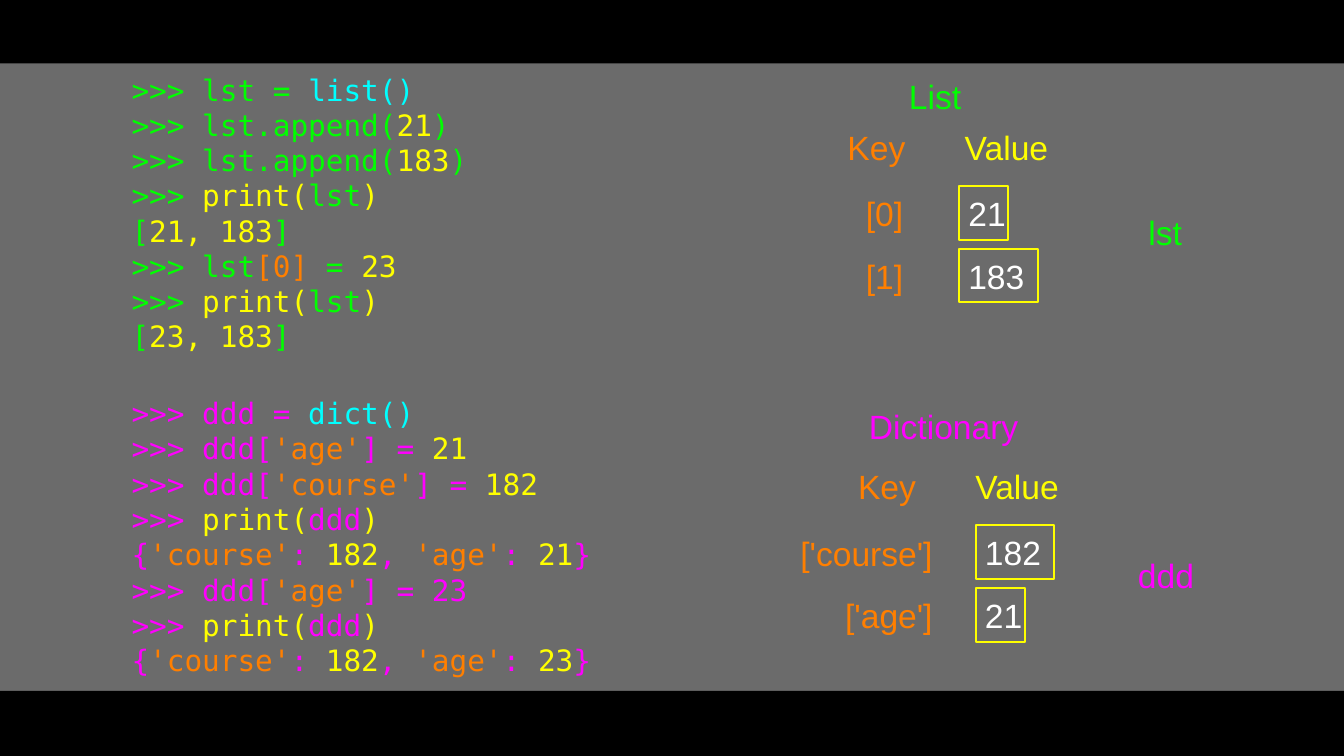
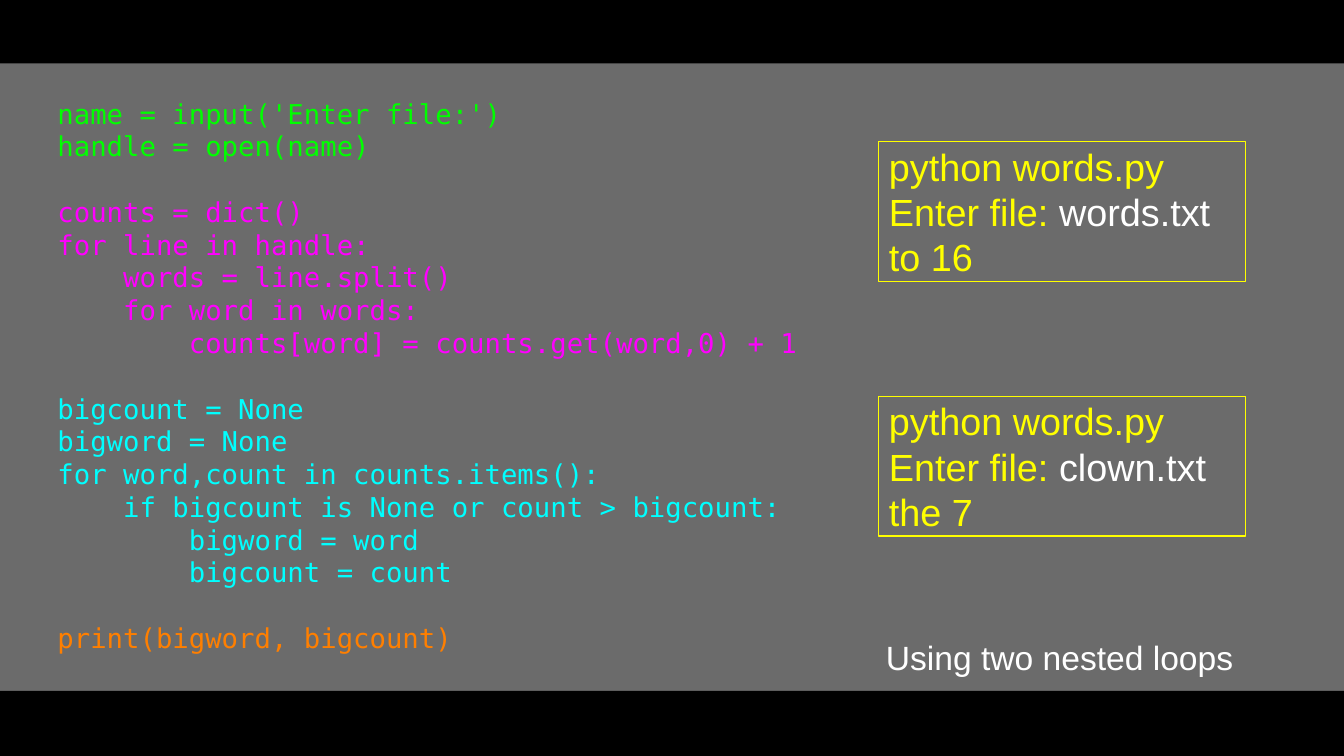
import pptx
import pptx.dml.color
import pptx.enum.shapes
import pptx.enum.text
import pptx.util

Inches = pptx.util.Inches
ALIGN = pptx.enum.text.PP_ALIGN

COLORS = {
    "band": "000000",
    "background": "6B6B6B",
    "green": "00FF00",
    "cyan": "00FFFF",
    "yellow": "FFFF00",
    "orange": "FF7F00",
    "magenta": "FF00FF",
    "white": "FFFFFF",
}
SANS = "Arial"
MONO = "DejaVu Sans Mono"
SLIDE_WIDTH, SLIDE_HEIGHT = 17.78, 10
BANDS = {20: (0, 0.84), 21: (9.14, 0.86)}
LINE_PITCH = 1.2
LABEL_SIZE = 32


def color(name):
    return pptx.dml.color.RGBColor.from_string(COLORS[name])


def fill_solid(fill, name):
    fill.solid()
    fill.fore_color.rgb = color(name)


def add_rectangle(slide, box):
    rectangle = pptx.enum.shapes.MSO_SHAPE.RECTANGLE
    shape = slide.shapes.add_shape(rectangle, *map(Inches, box))
    shape.shadow.inherit = False
    return shape


def add_outline(slide, box, width):
    shape = add_rectangle(slide, box)
    shape.fill.background()
    shape.line.color.rgb = color("yellow")
    shape.line.width = pptx.util.Pt(width)
    return shape


def add_text_box(slide, box):
    return slide.shapes.add_textbox(*map(Inches, box))


def write_lines(shape, lines, size, font, align=ALIGN.LEFT, inset=0, pitch=None):
    frame = shape.text_frame
    frame.word_wrap = True
    frame.vertical_anchor = pptx.enum.text.MSO_ANCHOR.MIDDLE
    frame.margin_left = Inches(inset)
    frame.margin_right = frame.margin_top = frame.margin_bottom = 0
    for index, pieces in enumerate(lines):
        paragraph = frame.add_paragraph() if index else frame.paragraphs[0]
        paragraph.alignment = align
        if pitch:
            paragraph.line_spacing = pptx.util.Pt(size * pitch)
        for text, color_name in pieces:
            run = paragraph.add_run()
            run.text = text
            run.font.size = pptx.util.Pt(size)
            run.font.name = font
            run.font.color.rgb = color(color_name)


def add_label(slide, box, text, color_name, align=ALIGN.CENTER):
    write_lines(add_text_box(slide, box), [[(text, color_name)]], LABEL_SIZE, SANS, align)


def add_code(slide, box, lines, size):
    shape = add_text_box(slide, box)
    write_lines(shape, lines, size, MONO, pitch=LINE_PITCH)
    return shape


def style_master(presentation, slide):
    master = presentation.slide_master
    fill_solid(master.background.fill, "background")
    for shape_id, (top, height) in BANDS.items():
        band = add_rectangle(slide, (0, top, SLIDE_WIDTH, height))
        fill_solid(band.fill, "band")
        band.line.fill.background()
        band.element.nvSpPr.cNvPr.set("id", str(shape_id))
        master.shapes.element.append(band.element)


def print_call(name, base):
    return [(">>> ", base), ("print(", "yellow"), (name, base), (")", "yellow")]


def append_call(value):
    return [(">>> lst.append(", "green"), (value, "yellow"), (")", "green")]


def list_output(values):
    return [("[", "green"), (values, "yellow"), ("]", "green")]


def key_assignment(key, value, value_color="yellow"):
    return [(">>> ddd[", "magenta"), (key, "orange"), ("] = ", "magenta"), (value, value_color)]


def dictionary_output(age):
    return [
        ("{", "magenta"), ("'course'", "orange"), (": ", "magenta"), ("182", "yellow"),
        (", ", "magenta"), ("'age'", "orange"), (": ", "magenta"), (age, "yellow"),
        ("}", "magenta"),
    ]


def draw_collection(slide, left, top, title, title_box, name, name_box,
                    title_color, key_right, value_left, rows):
    def place(box):
        return (left + box[0], top + box[1], box[2], box[3])

    add_label(slide, place(title_box), title, title_color)
    add_label(slide, place((0, 0, 0.87, 0.68)), "Key", "orange")
    add_label(slide, place((1.55, 0, 1.21, 0.68)), "Value", "yellow")
    for index, (key, key_width, value) in enumerate(rows):
        row_top = 0.86 + index * 0.83
        key_box = place((key_right - key_width, row_top + 0.02, key_width, 0.68))
        add_label(slide, key_box, key, "orange", ALIGN.RIGHT)
        value_width = 0.65 if len(value) == 2 else 1.04
        cell = add_outline(slide, place((value_left, row_top, value_width, 0.71)), 2)
        write_lines(cell, [[(value, "white")]], LABEL_SIZE, SANS, inset=0.12)
    add_label(slide, place(name_box), name, title_color)


def build_comparison(slide):
    list_code = [
        [(">>> lst = ", "green"), ("list()", "cyan")],
        append_call("21"),
        append_call("183"),
        print_call("lst", "green"),
        list_output("21, 183"),
        [(">>> lst", "green"), ("[0]", "orange"), (" = ", "green"), ("23", "yellow")],
        print_call("lst", "green"),
        list_output("23, 183"),
    ]
    dictionary_code = [
        [(">>> ddd = ", "magenta"), ("dict()", "cyan")],
        key_assignment("'age'", "21"),
        key_assignment("'course'", "182"),
        print_call("ddd", "magenta"),
        dictionary_output("21"),
        key_assignment("'age'", "23", "magenta"),
        print_call("ddd", "magenta"),
        dictionary_output("23"),
    ]
    add_code(slide, (1.74, 0.85, 6.22, 3.93), list_code, 28)
    add_code(slide, (1.74, 4.94, 6.8, 4.31), dictionary_code, 28)
    draw_collection(
        slide, 11.16, 1.6, "List", (0.69, -0.75, 1.04, 0.85),
        "lst", (3.9, 1.04, 0.71, 0.85), "green", 0.79, 1.53,
        [("[0]", 0.71, "21"), ("[1]", 0.71, "183")],
    )
    draw_collection(
        slide, 11.3, 6.09, "Dictionary", (-0.25, -0.88, 2.87, 0.85),
        "ddd", (3.58, 1.09, 1.09, 0.85), "magenta", 1.04, 1.61,
        [("['course']", 2.02, "182"), ("['age']", 1.31, "21")],
    )


def draw_console(slide, left, top, file_name, result):
    console = add_outline(slide, (left, top, 4.86, 1.85), 1)
    lines = [
        [("python words.py", "yellow")],
        [("Enter file: ", "yellow"), (file_name, "white")],
        [(result, "yellow")],
    ]
    write_lines(console, lines, 36, SANS, inset=0.14, pitch=LINE_PITCH)


def build_program(slide):
    size = 26
    blocks = [
        ("green", ["name = input('Enter file:')", "handle = open(name)"]),
        ("magenta", [
            "counts = dict()",
            "for line in handle:",
            "    words = line.split()",
            "    for word in words:",
            "        counts[word] = counts.get(word,0) + 1",
        ]),
        ("cyan", [
            "bigcount = None",
            "bigword = None",
            "for word,count in counts.items():",
            "    if bigcount is None or count > bigcount:",
            "        bigword = word",
            "        bigcount = count",
        ]),
        ("orange", ["print(bigword, bigcount)"]),
    ]
    lines = [[(text, name)] for name, texts in blocks for text in texts]
    program = add_code(slide, (0.76, 0.94, 10.09, 8.05), lines, size)
    block_start = 0
    for _, texts in blocks[:-1]:
        block_start += len(texts)
        paragraph = program.text_frame.paragraphs[block_start]
        paragraph.space_before = pptx.util.Pt(size * LINE_PITCH)

    draw_console(slide, 11.62, 1.87, "words.txt", "to 16")
    draw_console(slide, 11.62, 5.24, "clown.txt", "the 7")
    add_label(slide, (11.72, 8.34, 4.84, 0.7), "Using two nested loops", "white", ALIGN.LEFT)


def main():
    presentation = pptx.Presentation()
    presentation.slide_width = Inches(SLIDE_WIDTH)
    presentation.slide_height = Inches(SLIDE_HEIGHT)
    blank_layout = presentation.slide_layouts[6]
    comparison = presentation.slides.add_slide(blank_layout)
    style_master(presentation, comparison)
    build_comparison(comparison)
    build_program(presentation.slides.add_slide(blank_layout))
    presentation.save("out.pptx")


if __name__ == "__main__":
    main()
